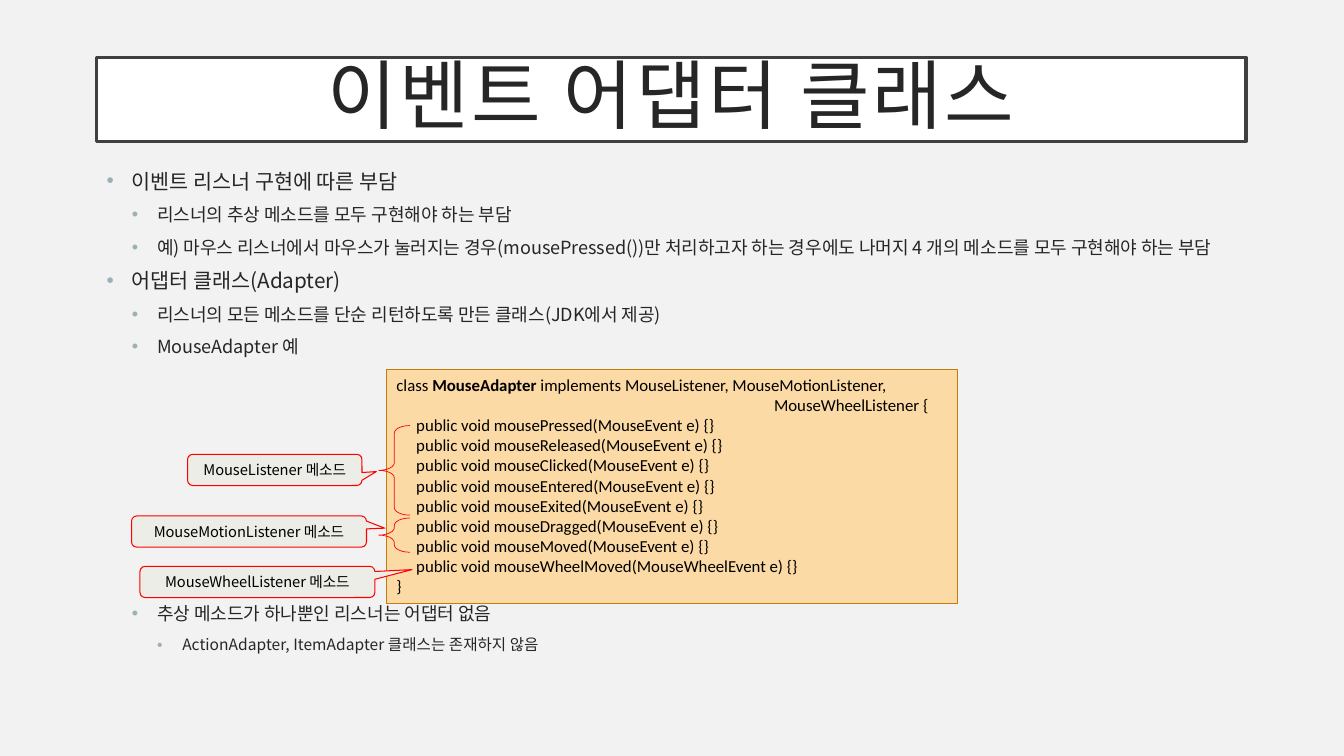
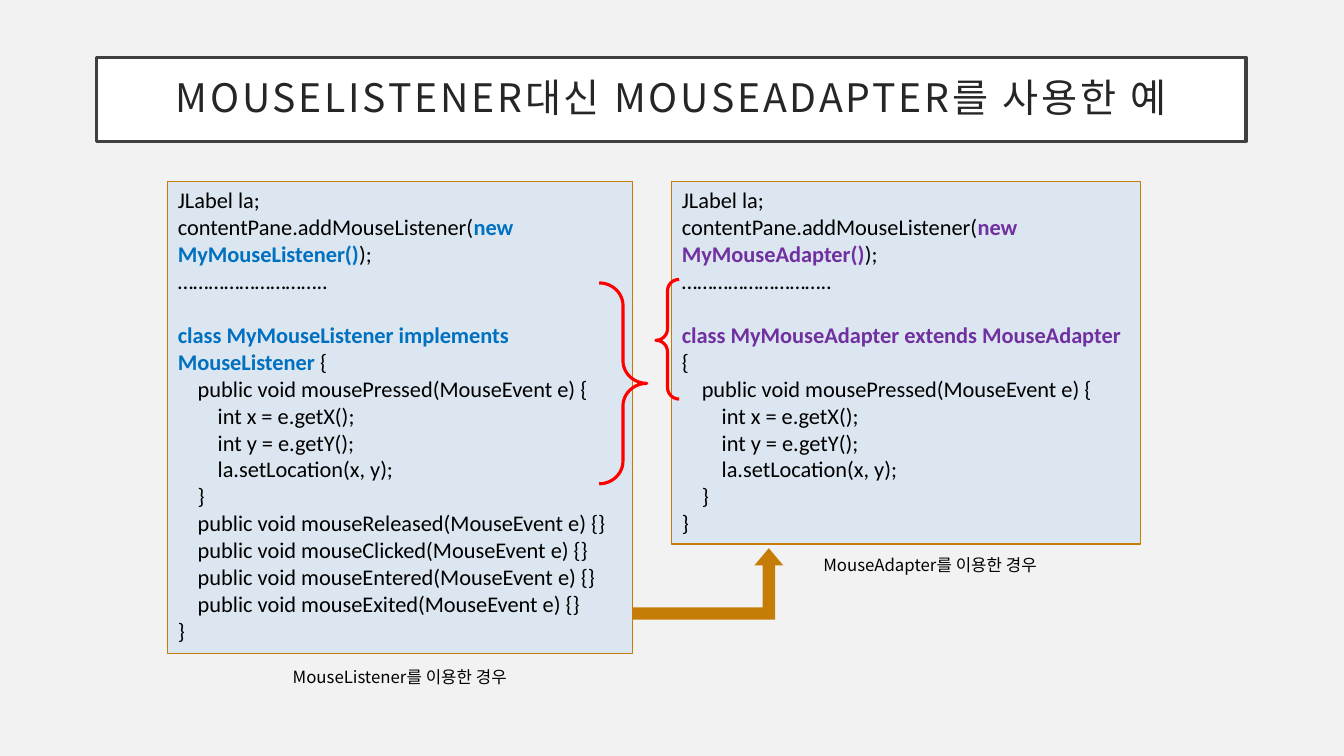
from dataclasses import dataclass

import pptx
import pptx.dml.color
import pptx.enum.shapes
import pptx.enum.text
import pptx.oxml.ns
import pptx.util
from lxml import etree

Pt = pptx.util.Pt
SHAPE = pptx.enum.shapes.MSO_SHAPE
ALIGN = pptx.enum.text.PP_ALIGN
ANCHOR = pptx.enum.text.MSO_ANCHOR
qn = pptx.oxml.ns.qn


@dataclass(frozen=True)
class Theme:
    # Colours
    background: str = "F2F2F2"
    title_fill: str = "FFFFFF"
    title_line: str = "404040"
    text: str = "262626"
    black: str = "000000"
    bullet: str = "9BAFB5"
    gold: str = "C67D08"
    code_gold: str = "FBDAA5"
    code_blue: str = "DCE6F0"
    callout: str = "EBEDE6"
    red: str = "FF0000"
    blue: str = "0070C0"
    purple: str = "7030A0"
    # Fonts and type sizes
    font: str = "Noto Sans CJK KR"
    code_font: str = "Calibri"
    title_size: float = 28
    big_title_size: float = 54
    body_sizes: tuple = (14.8, 12.9, 11.1)
    code_size: float = 16
    small_code_size: float = 12
    caption_size: float = 12
    callout_size: float = 10.5
    # Spacing
    code_tab: float = 14.2
    bullet_step: float = 18


T = Theme()
TITLE_BOX = (69, 41, 821, 60)
BODY_BOX = (69, 119.5, 821, 379.5)


def rgb(value):
    return pptx.dml.color.RGBColor.from_string(value)


def write(tf, text, *, size, color=T.black, font=T.font, accent=None, align=ALIGN.LEFT,
          indent=0, hanging=0, before=0, line_spacing=None, bullet=None, tracking=None):
    """Add one paragraph; parts between bars are bold, in the accent colour."""
    p = tf.add_paragraph() if tf.paragraphs[0].runs else tf.paragraphs[0]
    p.alignment = align
    p.space_before = Pt(before)
    if line_spacing:
        p.line_spacing = line_spacing
    pPr = p._p.get_or_add_pPr()
    pPr.set("marL", str(Pt(indent)))
    pPr.set("indent", str(Pt(-hanging)))
    if bullet:
        clr = etree.SubElement(pPr, qn("a:buClr"))
        etree.SubElement(clr, qn("a:srgbClr"), val=bullet)
        etree.SubElement(pPr, qn("a:buFont"), typeface="Arial")
        etree.SubElement(pPr, qn("a:buChar"), char="•")
    for i, part in enumerate(text.split("|")):
        if not part:
            continue
        r = p.add_run()
        r.text = part
        strong = i % 2 == 1
        r.font.size, r.font.name, r.font.bold = Pt(size), font, strong
        r.font.color.rgb = rgb(accent if strong and accent else color)
        rPr = r._r.get_or_add_rPr()
        etree.SubElement(rPr, qn("a:ea"), typeface=font)
        if tracking:
            rPr.set("spc", str(tracking * 100))
    return p


def place(sp, box):
    sp.left, sp.top, sp.width, sp.height = map(Pt, box)


def paint(sp, fill=None, line=None, weight=0.75):
    if fill:
        sp.fill.solid()
        sp.fill.fore_color.rgb = rgb(fill)
    else:
        sp.fill.background()
    if line:
        sp.line.color.rgb = rgb(line)
        sp.line.width = Pt(weight)
    else:
        sp.line.fill.background()


def add_shape(s, kind, box, adjustments=(), **style):
    sp = s.shapes.add_shape(kind, *map(Pt, box))
    sp.shadow.inherit = False
    for i, value in enumerate(adjustments):
        sp.adjustments[i] = value
    paint(sp, **style)
    return sp


def within(box, dx, dy, w, h):
    """Box of the given size, offset from the corner of another box."""
    return box[0] + dx, box[1] + dy, w, h


def add_title(s, text, size, box=TITLE_BOX):
    sp = s.shapes.title
    place(sp, box)
    paint(sp, T.title_fill, T.title_line, 2.5)
    tf = sp.text_frame
    tf.auto_size = pptx.enum.text.MSO_AUTO_SIZE.NONE
    tf.vertical_anchor = ANCHOR.MIDDLE
    tf.margin_left = tf.margin_right = tf.margin_top = tf.margin_bottom = Pt(14.4)
    write(tf, text, size=size, color=T.text, align=ALIGN.CENTER,
          line_spacing=0.9, tracking=2)


def add_bullets(s, items, box=BODY_BOX):
    """Items are (level, text) or (level, text, space before)."""
    sp = s.placeholders[1]
    place(sp, box)
    tf = sp.text_frame
    tf.auto_size = pptx.enum.text.MSO_AUTO_SIZE.NONE
    tf.vertical_anchor = ANCHOR.TOP
    for i, (level, text, *gap) in enumerate(items):
        p = write(tf, text, size=T.body_sizes[level], color=T.text, bullet=T.bullet,
                  indent=T.bullet_step * (level + 1), hanging=T.bullet_step,
                  before=gap[0] if gap else 10 if i else 0, line_spacing=0.84)
        p.level = level


def add_code(s, box, code, fill, size, accent=None):
    """Leading tabs become indents; an empty line becomes space before the next."""
    tf = add_shape(s, SHAPE.RECTANGLE, box, fill=fill, line=T.gold).text_frame
    tf.word_wrap = True
    tf.vertical_anchor = ANCHOR.TOP
    before = 0
    for line in code:
        if not line:
            before = size * 1.22
            continue
        text = line.lstrip("\t")
        write(tf, text, size=size, font=T.code_font, accent=accent, before=before,
              indent=T.code_tab * (len(line) - len(text)))
        before = 0


def add_callout(s, box, text, tip):
    sp = add_shape(s, SHAPE.ROUNDED_RECTANGULAR_CALLOUT, box, (*tip, 0.167),
                   fill=T.callout, line=T.red)
    tf = sp.text_frame
    tf.word_wrap = False
    tf.vertical_anchor = ANCHOR.MIDDLE
    write(tf, text, size=T.callout_size, align=ALIGN.CENTER)


def add_caption(s, box, text):
    tf = s.shapes.add_textbox(*map(Pt, box)).text_frame
    tf.word_wrap = False
    write(tf, text, size=T.caption_size)


def empty_methods(names, event="MouseEvent"):
    return [f"\tpublic void {name}({event} e) {{}}" for name in names]


def adapter_diagram(s, box):
    # Adapter class
    code = ["class |MouseAdapter| implements MouseListener, MouseMotionListener,",
            "\t" * 19 + "MouseWheelListener {",
            *empty_methods(["mousePressed", "mouseReleased", "mouseClicked",
                            "mouseEntered", "mouseExited", "mouseDragged", "mouseMoved"]),
            *empty_methods(["mouseWheelMoved"], "MouseWheelEvent"),
            "}"]
    add_code(s, box, code, T.code_gold, T.small_code_size)

    # Braces around the methods of one listener
    for dy, h in ((40, 64), (106, 24.5)):
        add_shape(s, SHAPE.LEFT_BRACE, within(box, -5.5, dy, 22.3, h), (0.239, 0.5),
                  line=T.red, weight=0.5)

    # Listener labels
    for name, dx, dy, w, tip in (
            ("MouseListener", -142, 60.5, 124.6, (0.582, 0.053)),
            ("MouseMotionListener", -182, 104.5, 167.8, (0.578, -0.107)),
            ("MouseWheelListener", -176, 140.5, 167.8, (0.658, -0.394))):
        add_callout(s, within(box, dx, dy, w, 22.3), f"{name} 메소드", tip)


def handler_panel(s, box, kind, declaration, accent, others, caption_at):
    # Listener code and its caption
    code = ["JLabel la;",
            f"contentPane.addMouseListener(|new MyMouse{kind}()|);",
            "………………………..",
            "",
            f"|{declaration} |{{",
            "\tpublic void mousePressed(MouseEvent e) {",
            "\t\tint x = e.getX();",
            "\t\tint y = e.getY();",
            "\t\tla.setLocation(x, y);",
            "\t}",
            *empty_methods(others),
            "}"]
    add_code(s, box, code, T.code_blue, T.code_size, accent)
    dx, gap = caption_at
    add_caption(s, within(box, dx, box[3] + gap, 176, 21.6), f"Mouse{kind}를 이용한 경우")


def adapter_slide(prs):
    s = prs.slides.add_slide(prs.slide_layouts[1])
    add_title(s, "이벤트 어댑터 클래스", T.big_title_size)
    add_bullets(s, [
        (0, "이벤트 리스너 구현에 따른 부담"),
        (1, "리스너의 추상 메소드를 모두 구현해야 하는 부담"),
        (1, "예) 마우스 리스너에서 마우스가 눌러지는 경우(mousePressed())만 처리하고자 하는 "
            "경우에도 나머지 4 개의 메소드를 모두 구현해야 하는 부담"),
        (0, "어댑터 클래스(Adapter)"),
        (1, "리스너의 모든 메소드를 단순 리턴하도록 만든 클래스(JDK에서 제공)"),
        (1, "MouseAdapter 예"),
        (1, "추상 메소드가 하나뿐인 리스너는 어댑터 없음", 178),
        (2, "ActionAdapter, ItemAdapter 클래스는 존재하지 않음"),
    ])
    adapter_diagram(s, (276, 264, 408, 167))


def comparison_slide(prs):
    s = prs.slides.add_slide(prs.slide_layouts[5])
    add_title(s, "MOUSELISTENER대신 MOUSEADAPTER를 사용한 예", T.title_size)
    listener_box = (120, 129.6, 332, 337)
    adapter_box = (480, 129.6, 334.8, 259)
    handler_panel(s, listener_box, "Listener",
                  "class MyMouseListener implements MouseListener", T.blue,
                  ["mouseReleased", "mouseClicked", "mouseEntered", "mouseExited"], (82, 6.4))
    handler_panel(s, adapter_box, "Adapter",
                  "class MyMouseAdapter extends MouseAdapter", T.purple, [], (101, 4.3))

    # Braces that pair the two classes
    for kind, box, adjustments in (
            (SHAPE.RIGHT_BRACE, within(listener_box, 308, 72.5, 34, 143.5), (0.477, 0.5)),
            (SHAPE.LEFT_BRACE, within(adapter_box, -11.5, 70, 16.6, 85.5), (0.494, 0.509))):
        add_shape(s, kind, box, adjustments, line=T.red, weight=2.25)

    # Arrow from listener to adapter
    add_shape(s, SHAPE.BENT_UP_ARROW, within(listener_box, 331.5, 262, 108, 51),
              (0.173, 0.202, 0.24), fill=T.gold)


def main():
    prs = pptx.Presentation()
    prs.slide_width, prs.slide_height = Pt(960), Pt(540)
    fill = prs.slide_master.background.fill
    fill.solid()
    fill.fore_color.rgb = rgb(T.background)
    adapter_slide(prs)
    comparison_slide(prs)
    prs.save("out.pptx")


if __name__ == "__main__":
    main()
